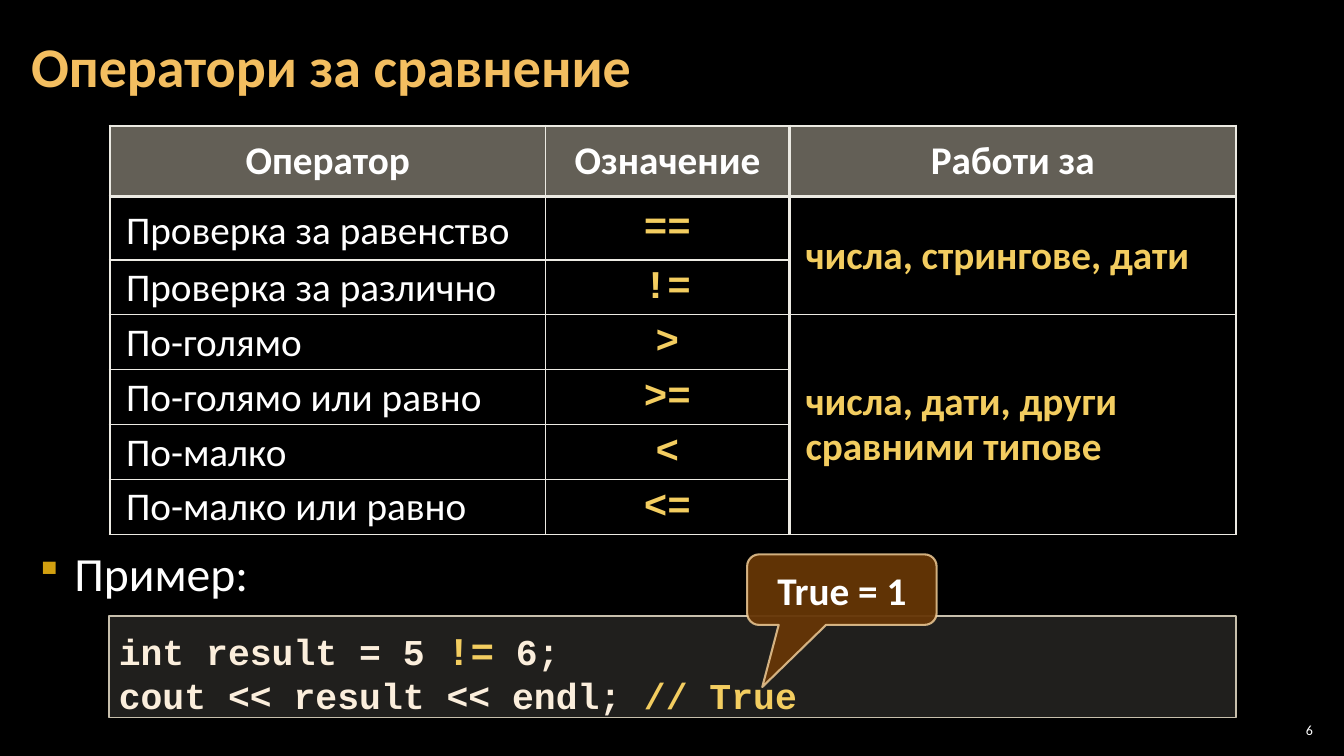
from lxml.etree import SubElement
from pptx import Presentation
from pptx.dml.color import RGBColor
from pptx.enum.shapes import MSO_SHAPE
from pptx.enum.text import MSO_ANCHOR, PP_ALIGN
from pptx.oxml.ns import qn
from pptx.util import Inches, Pt

BLACK = RGBColor(0x00, 0x00, 0x00)
WHITE = RGBColor(0xFF, 0xFF, 0xFF)
ORANGE = RGBColor(0xF3, 0xBE, 0x60)
YELLOW = RGBColor(0xF3, 0xCD, 0x60)
CREAM = RGBColor(0xFB, 0xEE, 0xDC)
GRID = RGBColor(0xEC, 0xEA, 0xE3)
SAND = RGBColor(0xC7, 0xBF, 0xAC)
PALE = RGBColor(0xD9, 0xD5, 0xC7)
BROWN = RGBColor(0x66, 0x36, 0x06)
PEACH = RGBColor(0xF8, 0xD4, 0x9E)
GOLD = RGBColor(0xD2, 0xA0, 0x10)

BODY = "Calibri"
CODE = "Courier New"
THIN, THICK = 1, 2.25

HEADER = ["Оператор", "Означение", "Работи за"]
OPERATORS = [
    ("Проверка за равенство", "=="),
    ("Проверка за различно", "!="),
    ("По-голямо", ">"),
    ("По-голямо или равно", ">="),
    ("По-малко", "<"),
    ("По-малко или равно", "<="),
]
# First row, last row and text of each merged cell in the third column
WORKS_FOR = [
    (1, 2, "числа, стрингове, дати"),
    (3, 6, "числа, дати, други сравними типове"),
]


def add_span(para, text, size=28, font=BODY, color=WHITE, bold=False):
    """Add one formatted run to a paragraph."""
    span = para.add_run()
    span.text = text
    span.font.size = Pt(size)
    span.font.name = font
    span.font.bold = bold
    span.font.color.rgb = color


def set_opacity(fill_parent, percent):
    """Set the opacity of the solid fill directly under an element."""
    color = fill_parent.find(qn("a:solidFill"))[0]
    SubElement(color, qn("a:alpha"), val=str(percent * 1000))


class SlideBuilder:
    def __init__(self, deck):
        self.page = deck.slides.add_slide(deck.slide_layouts[6])
        self.page.background.fill.solid()
        self.page.background.fill.fore_color.rgb = BLACK

    def text(self, left, top, width, height, text, anchor=MSO_ANCHOR.TOP,
             align=PP_ALIGN.LEFT, **style):
        box = self.page.shapes.add_textbox(
            Inches(left), Inches(top), Inches(width), Inches(height))
        frame = box.text_frame
        frame.word_wrap = True
        frame.vertical_anchor = anchor
        para = frame.paragraphs[0]
        para.alignment = align
        add_span(para, text, **style)
        return box

    def bullet(self, left, top, width, height, text, **style):
        box = self.text(left, top, width, height, text, **style)
        para = box.text_frame.paragraphs[0]
        para.line_spacing = Pt(38)
        para.space_before = para.space_after = Pt(6)
        props = para._p.get_or_add_pPr()
        props.set("marL", str(Inches(0.39)))
        props.set("indent", str(-Inches(0.39)))
        color = SubElement(props, qn("a:buClr"))
        SubElement(color, qn("a:srgbClr"), val=str(GOLD))
        SubElement(props, qn("a:buSzPct"), val="80000")
        SubElement(props, qn("a:buChar"), char="▪")

    def shape(self, kind, left, top, width, height, fill, opacity, line, weight):
        box = self.page.shapes.add_shape(
            kind, Inches(left), Inches(top), Inches(width), Inches(height))
        box.shadow.inherit = False
        box.fill.solid()
        box.fill.fore_color.rgb = fill
        set_opacity(box._element.spPr, opacity)
        box.line.color.rgb = line
        box.line.width = Pt(weight)
        box.text_frame.word_wrap = True
        return box

    def code(self, left, top, width, height, lines):
        box = self.shape(MSO_SHAPE.RECTANGLE, left, top, width, height,
                         PALE, 15, SAND, 1)
        frame = box.text_frame
        frame.vertical_anchor = MSO_ANCHOR.TOP
        frame.margin_top = Inches(0.1)
        for number, spans in enumerate(lines):
            para = frame.add_paragraph() if number else frame.paragraphs[0]
            para.alignment = PP_ALIGN.LEFT
            for text, size, color in spans:
                add_span(para, text, size=size, font=CODE, color=color, bold=True)

    def callout(self, left, top, width, height, text, adjustments):
        box = self.shape(MSO_SHAPE.ROUNDED_RECTANGULAR_CALLOUT, left, top, width,
                         height, BROWN, 95, PEACH, 1.5)
        set_opacity(box.line._get_or_add_ln(), 80)
        for index, value in enumerate(adjustments):
            box.adjustments[index] = value
        box.text_frame.vertical_anchor = MSO_ANCHOR.MIDDLE
        para = box.text_frame.paragraphs[0]
        para.alignment = PP_ALIGN.CENTER
        add_span(para, text, bold=True)

    def table(self, left, top, widths, heights):
        table = self.page.shapes.add_table(
            len(heights), len(widths), Inches(left), Inches(top),
            Inches(sum(widths)), Inches(sum(heights))).table
        table.first_row = table.horz_banding = False
        for column, width in zip(table.columns, widths):
            column.width = Inches(width)
        for row, height in zip(table.rows, heights):
            row.height = Inches(height)
        for row in range(len(heights)):
            for column in range(len(widths)):
                cell = table.cell(row, column)
                cell.fill.background()
                self.borders(cell, row, column)
        return table

    def borders(self, cell, row, column):
        weights = {
            "a:lnL": THIN if column == 1 else THICK,
            "a:lnR": THICK if column == 1 or (column == 2 and row == 0) else THIN,
            "a:lnT": THICK if row < 2 else THIN,
            "a:lnB": THICK if row == 0 else THIN,
        }
        props = cell._tc.get_or_add_tcPr()
        for index, (side, weight) in enumerate(weights.items()):
            line = SubElement(props, qn(side), w=str(Pt(weight)))
            fill = SubElement(line, qn("a:solidFill"))
            SubElement(fill, qn("a:srgbClr"), val=str(GRID))
            props.insert(index, line)

    def cell(self, cell, text, align=PP_ALIGN.LEFT, spacing=0.95, **style):
        cell.vertical_anchor = MSO_ANCHOR.MIDDLE
        cell.margin_left = cell.margin_right = Inches(0.16)
        cell.margin_top = cell.margin_bottom = Inches(0.05)
        para = cell.text_frame.paragraphs[0]
        para.alignment = align
        para.line_spacing = spacing
        add_span(para, text, **style)


def main():
    deck = Presentation()
    deck.slide_width, deck.slide_height = Inches(13.33), Inches(7.5)
    slide = SlideBuilder(deck)

    # Slide number and title
    slide.text(12.65, 7.14, 0.47, 0.21, "6", MSO_ANCHOR.MIDDLE, PP_ALIGN.RIGHT,
               size=10)
    slide.text(0.21, 0.04, 10.47, 1.21, "Оператори за сравнение",
               MSO_ANCHOR.MIDDLE, size=40, color=ORANGE, bold=True)

    # Table of comparison operators
    table = slide.table(1.09, 1.25, [4.32, 2.42, 4.43], [0.7, 0.63] + [0.54] * 5)
    for column, heading in enumerate(HEADER):
        cell = table.cell(0, column)
        slide.cell(cell, heading, PP_ALIGN.CENTER, bold=True)
        cell.fill.solid()
        cell.fill.fore_color.rgb = SAND
        set_opacity(cell._tc.tcPr, 50)
    for row, (name, symbol) in enumerate(OPERATORS, start=1):
        slide.cell(table.cell(row, 0), name, spacing=Pt(38) if row == 1 else 0.95)
        slide.cell(table.cell(row, 1), symbol, PP_ALIGN.CENTER, font=CODE,
                   color=YELLOW, bold=True)
    for first, last, types in WORKS_FOR:
        table.cell(first, 2).merge(table.cell(last, 2))
        slide.cell(table.cell(first, 2), types, color=YELLOW, bold=True)

    # Example with code and callout
    slide.code(1.08, 6.11, 11.18, 1.01, [
        [("int result = 5 ", 26, CREAM), ("!=", 28, YELLOW), (" 6;", 26, CREAM)],
        [("cout << result << endl; ", 26, CREAM), ("// True", 26, YELLOW)],
    ])
    slide.bullet(0.25, 5.39, 9.5, 0.73, "Пример:", size=34)
    slide.callout(7.41, 5.5, 1.88, 0.7, "True = 1", [-0.42, 1.38, 0.17])

    deck.save("out.pptx")


if __name__ == "__main__":
    main()
